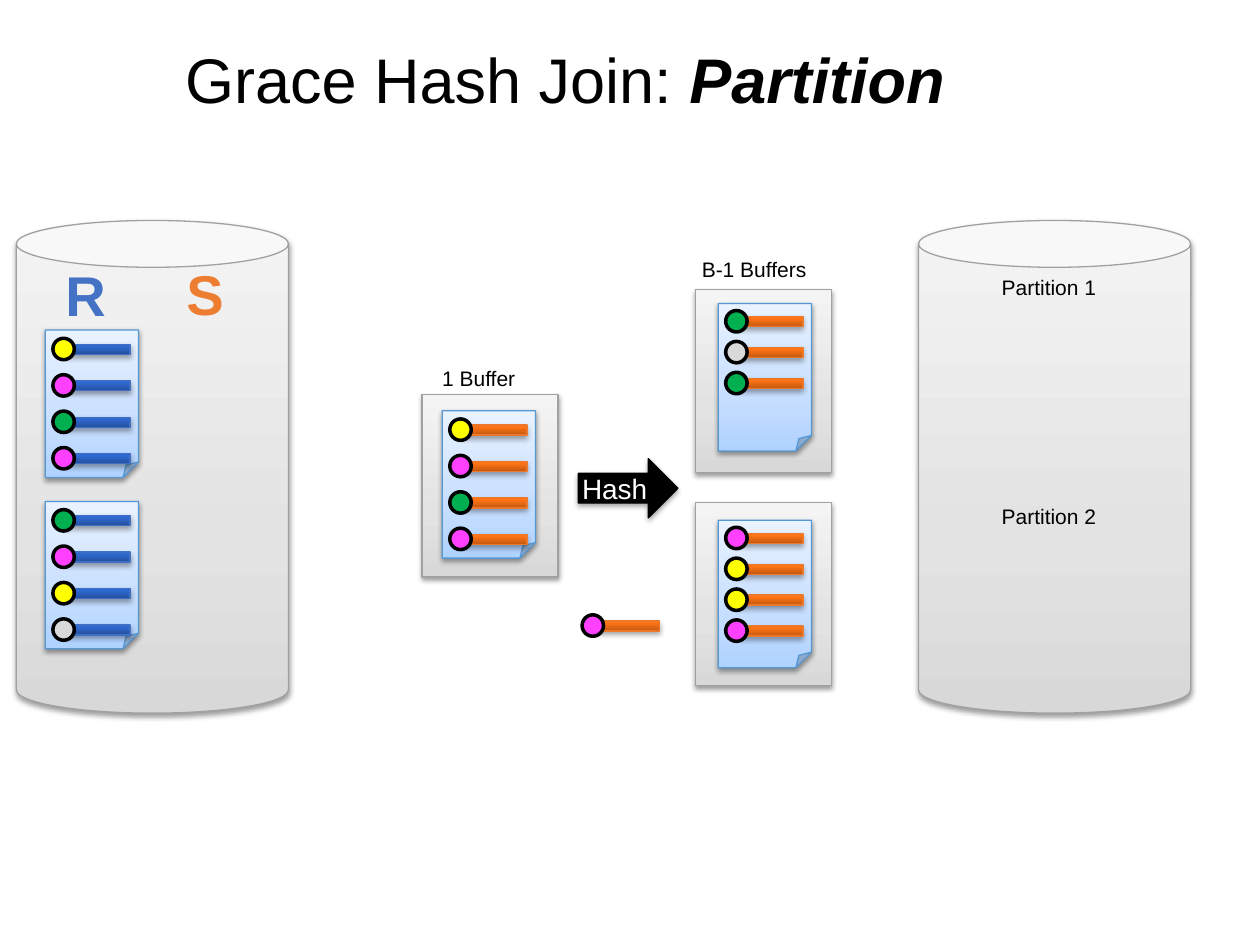
import pptx
import pptx.util
import pptx.oxml
import pptx.oxml.ns
import pptx.dml.color
import pptx.enum.shapes
import pptx.enum.text

SHAPE = pptx.enum.shapes.MSO_SHAPE
ANCHOR = pptx.enum.text.MSO_ANCHOR
COLORS = {
    "black": "000000", "white": "FFFFFF", "r_text": "4472C4", "s_text": "ED7D31",
    "gray_line": "A1A1A1", "page_line": "5698D3",
    "r_line": "3F6EC3", "s_line": "EC792B",
    "yellow": "FFFF00", "pink": "FF40FF", "green": "00B050", "silver": "D9D9D9",
}
GRADIENTS = {
    "gray": {0: "D8D8D8", 35: "E3E3E3", 100: "F4F4F4"},
    "page": {0: "AFD2FF", 35: "C6DEFF", 100: "E9F2FF"},
    "r": {0: "24509E", 80: "2F69D0", 100: "2C69D4"},
    "s": {0: "C3580F", 80: "FF7416", 100: "FF7517"},
}
SOFT = {"blur": 3, "dist": 1.6, "alpha": 38}
HARD = {"blur": 3, "dist": 1.8, "alpha": 35}


def rgb(name):
    """Return the named colour."""
    return pptx.dml.color.RGBColor.from_string(COLORS[name])


def cells(*values):
    """Turn grid cells into lengths; the slide has 100 columns and 75 rows."""
    return [pptx.util.Inches(v / 10) for v in values]


def xml(tag, body):
    """Parse one drawing element."""
    return pptx.oxml.parse_xml(f"<a:{tag} {pptx.oxml.ns.nsdecls('a')} {body}")


def refill(sp, tag, children):
    """Replace the children of the first element with this tag."""
    parent = next(sp.element.iter(pptx.oxml.ns.qn(tag)))
    for child in list(parent):
        parent.remove(child)
    for child in children:
        parent.append(child)


class Diagram:
    """Draws the parts of a hash join on one slide."""

    font = "Arial"

    def __init__(self, s):
        """Keep the current slide."""
        self.s = s

    def shape(self, kind, box, fill, line, width=0.75, shadow=None, adj=None):
        """Add a preset shape with a solid or gradient fill."""
        sp = self.s.shapes.add_shape(kind, *cells(*box))
        if adj is not None:
            refill(sp, "a:avLst", [xml("gd", f'name="adj" fmla="val {adj}"/>')])
        sp.line.color.rgb = rgb(line)
        sp.line.width = pptx.util.Pt(width)
        if fill in GRADIENTS:
            self.gradient(sp, GRADIENTS[fill])
        else:
            sp.fill.solid()
            sp.fill.fore_color.rgb = rgb(fill)
        sp.shadow.inherit = False
        if shadow:
            self.shadow(sp, **shadow)
        return sp

    def gradient(self, sp, stops):
        """Fill a shape from bottom to top."""
        sp.fill.gradient()
        sp.fill.gradient_angle = 90
        refill(sp, "a:gsLst", [
            xml("gs", f'pos="{pos * 1000}"><a:srgbClr val="{color}"/></a:gs>')
            for pos, color in stops.items()])

    def shadow(self, sp, blur, dist, alpha):
        """Drop a black shadow straight down."""
        refill(sp, "a:effectLst", [xml(
            "outerShdw",
            f'blurRad="{pptx.util.Pt(blur)}" dist="{pptx.util.Pt(dist)}" dir="5400000" '
            f'rotWithShape="0"><a:srgbClr val="000000"><a:alpha val="{alpha * 1000}"/>'
            "</a:srgbClr></a:outerShdw>")])

    def text(self, box, runs, size, color="black", wrap=False, anchor=ANCHOR.TOP):
        """Add a text box; runs are pairs of wording and font values."""
        tf = self.s.shapes.add_textbox(*cells(*box)).text_frame
        margin = pptx.util.Inches(0.05)
        frame = {"word_wrap": wrap, "vertical_anchor": anchor, "margin_left": margin,
                 "margin_right": margin, "margin_top": margin, "margin_bottom": margin}
        for key, value in frame.items():
            setattr(tf, key, value)
        for words, extra in runs:
            r = tf.paragraphs[0].add_run()
            r.text = words
            r.font.color.rgb = rgb(color)
            for key, value in {"name": self.font, "size": pptx.util.Pt(size), **extra}.items():
                setattr(r.font, key, value)

    def disk(self, x, y):
        """Add a cylinder."""
        self.shape(SHAPE.CAN, (x, y, 21.6, 39.1), "gray", "gray_line", shadow=SOFT, adj=17200)

    def buffer(self, x, y):
        """Add a frame that holds one page."""
        self.shape(SHAPE.RECTANGLE, (x, y, 10.8, 14.5), "gray", "gray_line", shadow=SOFT)

    def record(self, x, y, table, key):
        """Add a bar with a coloured key at its left end."""
        self.shape(SHAPE.RECTANGLE, (x + 0.93, y + 0.48, 5.2, 0.8), table, table + "_line",
                   shadow=HARD)
        self.shape(SHAPE.OVAL, (x, y, 1.7, 1.7), key, "black", width=2)

    def page(self, x, y, table, keys, pitch, top):
        """Add a page and its evenly spaced records."""
        self.shape(SHAPE.FOLDED_CORNER, (x, y, 7.4, 11.7), "page", "page_line", shadow=SOFT)
        for i, key in enumerate(keys.split()):
            self.record(x + 0.6, y + top + i * pitch, table, key)


def main():
    """Build the slide."""
    prs = pptx.Presentation()
    prs.slide_width, prs.slide_height = cells(100, 75)
    d = Diagram(prs.slides.add_slide(prs.slide_layouts[6]))

    d.text((14.2, 0, 78.3, 12.5),
           [("Grace Hash Join:", {}), (" Partition", {"bold": True, "italic": True})],
           36, wrap=True, anchor=ANCHOR.MIDDLE)
    for x in (1.3, 72.9):
        d.disk(x, 17.5)
    for x, y in ((55.2, 23), (55.2, 39.9), (33.5, 31.3)):
        d.buffer(x, y)

    wide, tight = (2.89, 0.65), (2.45, 0.55)
    for x, y, table, keys, spacing in (
            (3.6, 39.8, "r", "green pink yellow silver", wide),
            (3.6, 26.2, "r", "yellow pink green pink", wide),
            (57, 24.1, "s", "green silver green", tight),
            (57, 41.3, "s", "pink yellow yellow pink", tight),
            (35.1, 32.6, "s", "yellow pink green pink", wide)):
        d.page(x, y, table, keys, *spacing)
    d.record(46.2, 48.8, "s", "pink")
    d.shape(SHAPE.RIGHT_ARROW, (45.9, 36.4, 7.9, 4.7), "black", "black", shadow=HARD)

    for box, words, size, color, bold in (
            ((4.7, 20.2, 4.3, 6.3), "R", 32, "r_text", True),
            ((14.3, 20.1, 4, 6.3), "S", 32, "s_text", True),
            ((45.7, 36.9, 6.3, 3.4), "Hash", 16, "white", False),
            ((34.6, 28.5, 7, 2.9), "1 Buffer", 12, "black", False),
            ((55.2, 19.9, 9.6, 2.9), "B-1 Buffers", 12, "black", False),
            ((79, 21.3, 8.7, 2.9), "Partition 1", 12, "black", False),
            ((79, 39.5, 8.7, 2.9), "Partition 2", 12, "black", False)):
        d.text(box, [(words, {"bold": bold})], size, color)
    prs.save("out.pptx")


main()
